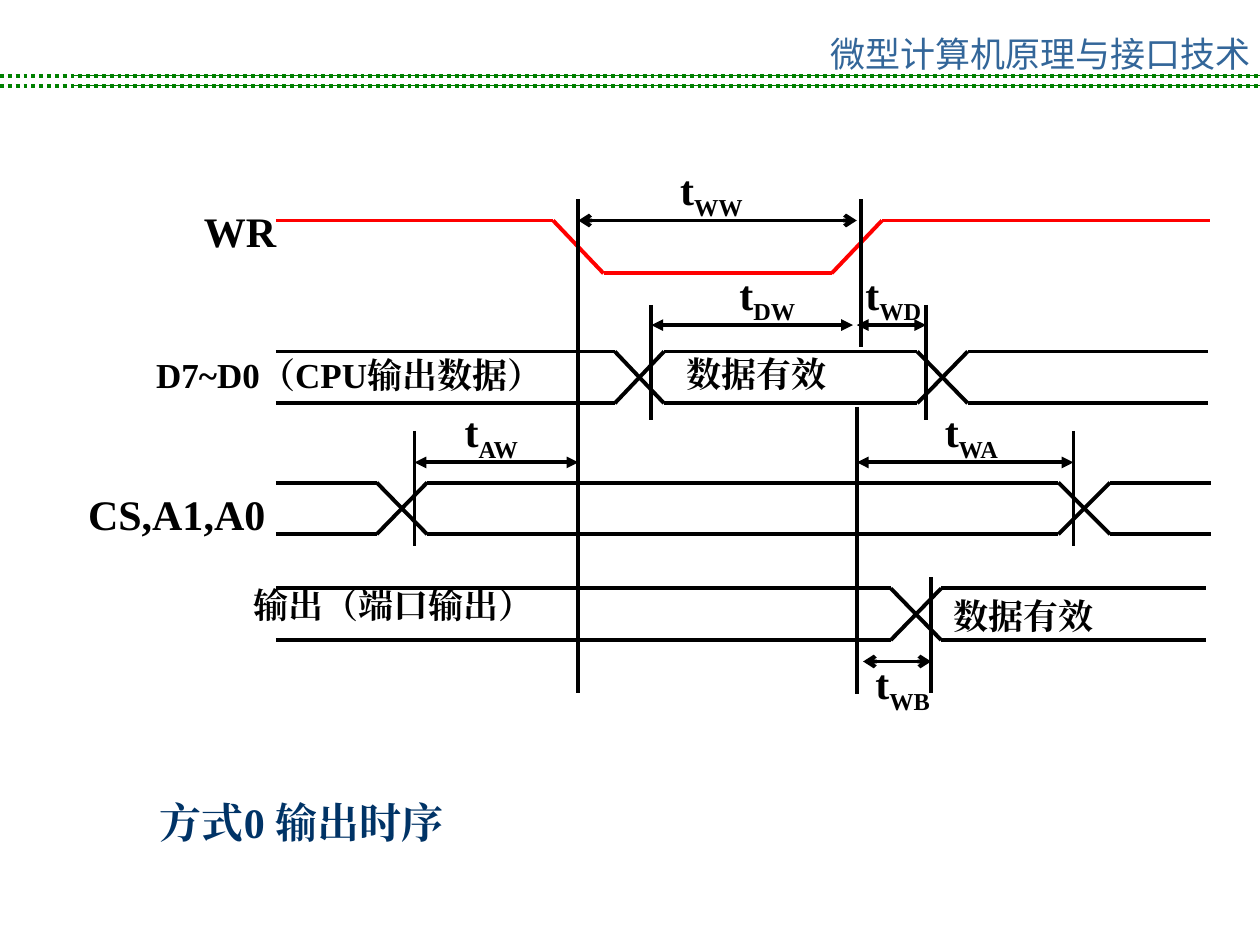
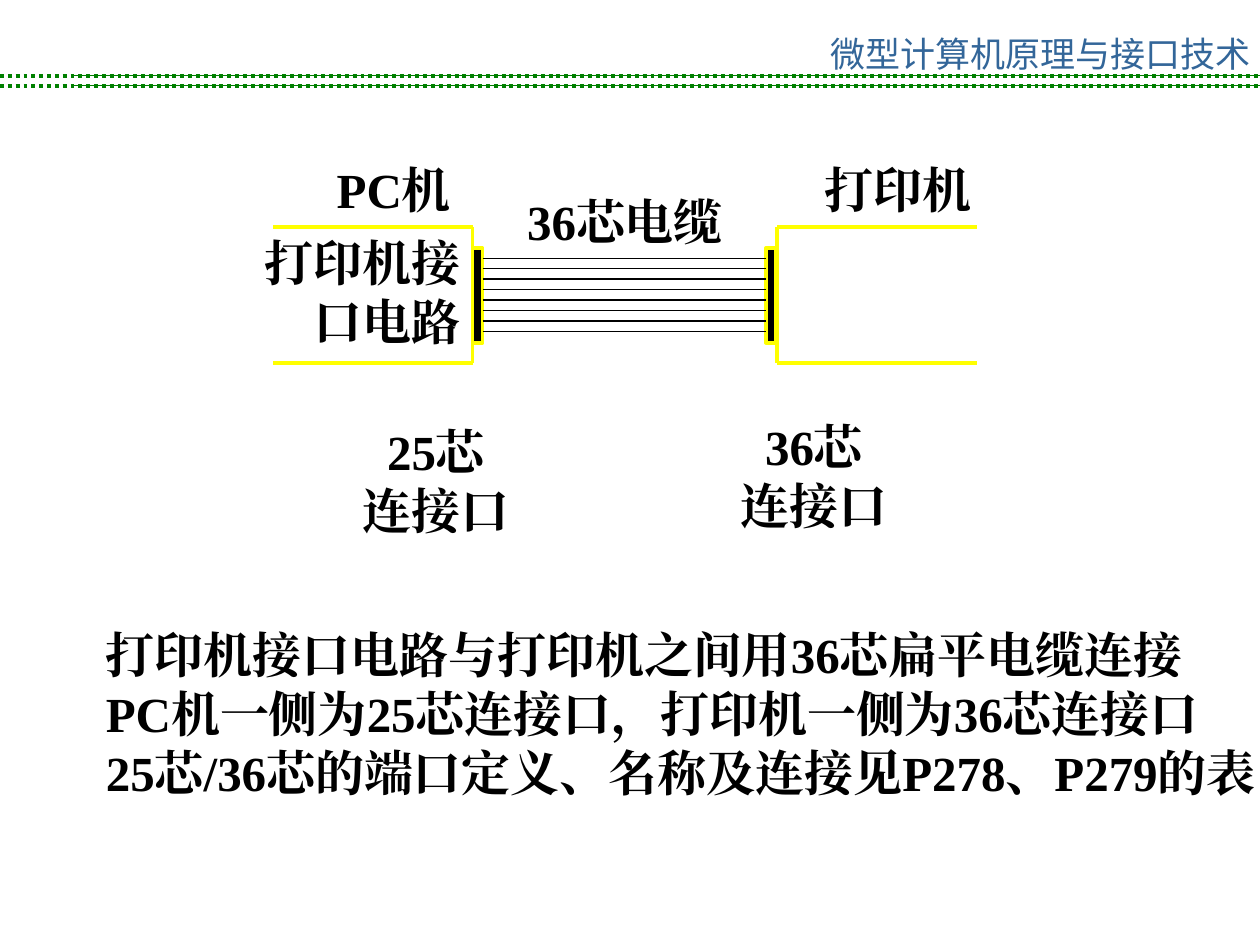
import pptx
import pptx.util
import pptx.dml.color
import pptx.enum.dml
import pptx.enum.shapes
import pptx.enum.text
import pptx.oxml.ns
import lxml.etree
from dataclasses import dataclass


@dataclass(frozen=True)
class Theme:
    ink: str = "000000"
    band: str = "008000"
    header: str = "336699"
    caption: str = "003366"
    signal: str = "FF0000"
    outline: str = "FFFF00"
    latin: str = "Times New Roman"
    cjk: str = "Noto Sans CJK SC"
    small: int = 20
    medium: int = 24
    large: int = 28
    thin: float = 0.75
    thick: float = 2.25


theme = Theme()
Inches = pptx.util.Inches
Align = pptx.enum.text.PP_ALIGN
qn = pptx.oxml.ns.qn


def write(text, slide=None, box=None, holder=None, size=theme.large, color=theme.ink,
          font=theme.latin, bold=True, align=Align.LEFT, wrap=True, right_inset=0.1):
    target = holder if holder is not None else slide.shapes.add_textbox(0, 0, 0, 0)
    target.left, target.top, target.width, target.height = map(Inches, box)
    frame = target.text_frame
    frame.word_wrap = wrap
    frame.auto_size = pptx.enum.text.MSO_AUTO_SIZE.NONE
    frame.vertical_anchor = pptx.enum.text.MSO_ANCHOR.TOP
    frame.margin_right = Inches(right_inset)
    for index, content in enumerate(text.split("\n")):
        paragraph = frame.paragraphs[0] if index == 0 else frame.add_paragraph()
        paragraph.alignment = align
        paragraph.space_before = pptx.util.Pt(0)
        if holder is not None:
            properties = paragraph._p.get_or_add_pPr()
            properties.set("marL", "0")
            properties.set("indent", "0")
            lxml.etree.SubElement(properties, qn("a:buNone"))
        for level, piece in enumerate(content.split("_")):
            run = paragraph.add_run()
            run.text = piece
            run.font.size = pptx.util.Pt(size)
            run.font.bold = bold
            run.font.name = font
            run.font.color.rgb = pptx.dml.color.RGBColor.from_string(color)
            details = run._r.get_or_add_rPr()
            lxml.etree.SubElement(details, qn("a:ea")).set("typeface", font)
            if level:
                details.set("baseline", "-25000")


def draw_line(slide, x1, y1, x2, y2, color=theme.ink, width=theme.thick, ends=None, dash=None):
    stroke = slide.shapes.add_connector(
        pptx.enum.shapes.MSO_CONNECTOR.STRAIGHT, *map(Inches, (x1, y1, x2, y2)))
    stroke.line.color.rgb = pptx.dml.color.RGBColor.from_string(color)
    stroke.line.width = pptx.util.Pt(width)
    if dash:
        stroke.line.dash_style = dash
    if ends:
        for tag in ("a:headEnd", "a:tailEnd"):
            lxml.etree.SubElement(stroke.line._get_or_add_ln(), qn(tag)).set("type", ends)
    lxml.etree.SubElement(stroke._element.spPr, qn("a:effectLst"))


prs = pptx.Presentation()
prs.slide_width, prs.slide_height = Inches(10), Inches(7.5)
timing = prs.slides.add_slide(prs.slide_layouts[5])
cabling = prs.slides.add_slide(prs.slide_layouts[1])

for slide in (timing, cabling):
    for y in (0.6, 0.68):
        draw_line(slide, 0.58, y, 10, y, theme.band, theme.thin)
        draw_line(slide, 0, y, 10, y, theme.band,
                  dash=pptx.enum.dml.MSO_LINE.ROUND_DOT)
    write("微型计算机原理与接口技术", slide, (6.52, 0.21, 3.48, 0.5), size=theme.small,
          color=theme.header, font=theme.cjk, bold=False, align=Align.CENTER, wrap=False)

write("方式0 输出时序", holder=timing.shapes.title, box=(0.98, 6.27, 2.83, 0.5),
      size=theme.medium, color=theme.caption, align=Align.CENTER)

buses = [
    (2.79, 3.2, [(2.19, 4.88), (5.27, 7.28), (7.68, 9.59)]),
    (3.83, 4.24, [(2.19, 2.99), (3.39, 8.4), (8.81, 9.61)]),
    (4.67, 5.08, [(2.19, 7.07), (7.47, 9.57)]),
]
for high, low, spans in buses:
    for start, end in spans:
        draw_line(timing, start, high, end, high)
        draw_line(timing, start, low, end, low)
    for (_, start), (end, _) in zip(spans, spans[1:]):
        draw_line(timing, start, low, end, high)
        draw_line(timing, start, high, end, low)

write_pulse = [(2.19, 1.75), (4.39, 1.75), (4.79, 2.17), (6.6, 2.17), (7, 1.75), (9.6, 1.75)]
for start, end in zip(write_pulse, write_pulse[1:]):
    draw_line(timing, *start, *end, color=theme.signal)

time_marks = [(4.59, 1.58, 5.5), (6.83, 1.58, 2.75), (6.8, 3.23, 5.51), (7.39, 4.58, 5.5),
              (8.52, 3.42, 4.33), (7.35, 2.42, 3.33), (5.17, 2.42, 3.33), (3.29, 3.42, 4.33)]
for x, top, bottom in time_marks:
    draw_line(timing, x, top, x, bottom)

intervals = [
    ("t_WW", 5.3, 1.25, 4.59, 6.8, 1.75, "arrow"),
    ("t_DW", 5.77, 2.08, 5.17, 6.77, 2.58, "triangle"),
    ("t_WD", 6.77, 2.08, 6.8, 7.35, 2.58, "triangle"),
    ("t_AW", 3.59, 3.17, 3.29, 4.59, 3.67, "triangle"),
    ("t_WA", 7.4, 3.17, 6.8, 8.52, 3.67, "triangle"),
    ("t_WB", 6.85, 5.17, 6.85, 7.39, 5.25, "arrow"),
]
for label, left, top, start, end, y, ends in intervals:
    write(label, timing, (left, top, 1, 0.56), size=theme.medium)
    draw_line(timing, start, y, end, y, ends=ends)

signal_labels = [
    ("WR", (1.52, 1.58, 1.42, 0.5), theme.medium),
    ("CS,A1,A0", (0.6, 3.83, 1.75, 0.5), theme.medium),
    ("D7~D0（CPU输出数据）", (1.14, 2.76, 3.39, 0.77), theme.small),
    ("输出（端口输出）", (1.91, 4.58, 2.78, 0.44), theme.small),
    ("数据有效", (5.35, 2.75, 1.61, 0.44), theme.small),
    ("数据有效", (7.47, 4.67, 2.26, 0.44), theme.small),
]
for label, box, size in signal_labels:
    write(label, timing, box, size=size)

cabling_title, connection_notes = cabling.placeholders
cabling_title._element.getparent().remove(cabling_title._element)

device_labels = [
    ("打印机接口电路", (1.75, 1.8, 2, 1.04), Align.RIGHT),
    ("PC机", (2.5, 1.22, 1.25, 0.57), Align.CENTER),
    ("打印机", (6.25, 1.22, 1.75, 0.57), Align.CENTER),
    ("25芯\n连接口", (2.75, 3.3, 1.42, 1.04), Align.CENTER),
    ("36芯\n连接口", (5.75, 3.26, 1.42, 1.04), Align.CENTER),
    ("36芯电缆", (4, 1.47, 1.92, 0.57), Align.CENTER),
]
for label, box, align in device_labels:
    write(label, cabling, box, align=align)

for outer, inner, socket_left in ((2.17, 3.75, 3.75), (7.75, 6.17, 6.08)):
    for y in (1.8, 2.88):
        draw_line(cabling, outer, y, inner, y, theme.outline)
    draw_line(cabling, inner, 1.8, inner, 2.88, theme.outline)
    socket = cabling.shapes.add_shape(pptx.enum.shapes.MSO_SHAPE.RECTANGLE,
                                      *map(Inches, (socket_left, 1.97, 0.08, 0.75)))
    socket.shadow.inherit = False
    socket.fill.solid()
    socket.fill.fore_color.rgb = pptx.dml.color.RGBColor.from_string(theme.ink)
    socket.line.color.rgb = pptx.dml.color.RGBColor.from_string(theme.outline)
    socket.line.width = pptx.util.Pt(theme.thick)

wire_count, first_wire, last_wire = 8, 2.05, 2.63
for wire in range(wire_count):
    y = first_wire + wire * (last_wire - first_wire) / (wire_count - 1)
    draw_line(cabling, 3.83, y, 6.08, y, width=theme.thin)

write("打印机接口电路与打印机之间用36芯扁平电缆连接\n"
      "PC机一侧为25芯连接口，打印机一侧为36芯连接口\n"
      "25芯/36芯的端口定义、名称及连接见P278、P279的表",
      holder=connection_notes, box=(0.74, 4.91, 9.26, 2.44),
      align=Align.JUSTIFY, right_inset=0.03)

prs.save("out.pptx")
